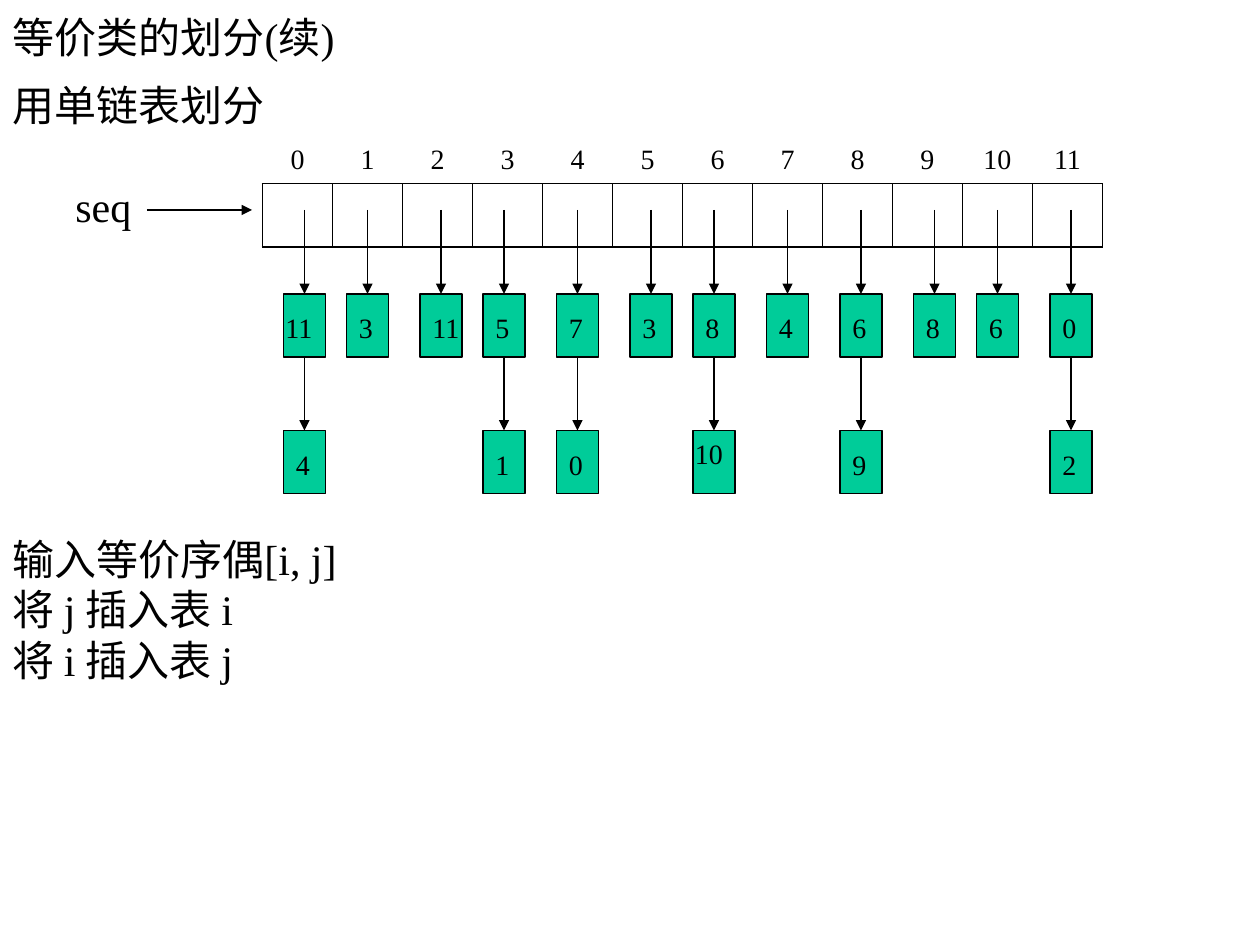
from dataclasses import dataclass

import lxml.etree
import pptx
import pptx.dml.color
import pptx.enum.shapes
import pptx.enum.text
import pptx.oxml.ns
import pptx.util

PX = 9525  # EMU in one px, 96 px to the inch
BLACK = pptx.dml.color.RGBColor(0x00, 0x00, 0x00)
GREEN = pptx.dml.color.RGBColor(0x00, 0xCC, 0x99)
FONT = "Times New Roman"
BODY_FORMAT = {"name": FONT, "size": pptx.util.Pt(24), "bold": False}
LABEL_FORMAT = {"name": FONT, "size": pptx.util.Pt(16), "bold": False}

NODE_W, NODE_H = 32, 48
LEVEL_TOPS = (224, 328)
SEQ_Y = 160
THIN, THICK = 0.45, 1.08  # table borders in points
LINE_PT = 28.8  # line pitch of the body text


@dataclass
class Label:
    text: str
    dx: int = 0
    dy: int = 8


@dataclass
class Chain:
    """The linked list hanging from one slot of seq."""
    x: int
    labels: tuple[Label, ...]


@dataclass
class Line:
    text: str
    indent: int = 0
    blank_lines: int = 0


CHAINS = (
    Chain(216, (Label("11", dx=-8), Label("4"))),
    Chain(264, (Label("3"),)),
    Chain(320, (Label("11"),)),
    Chain(368, (Label("5"), Label("1"))),
    Chain(424, (Label("7"), Label("0"))),
    Chain(480, (Label("3"),)),
    Chain(528, (Label("8"), Label("10", dx=-8, dy=0))),
    Chain(584, (Label("4"),)),
    Chain(640, (Label("6"), Label("9"))),
    Chain(696, (Label("8"),)),
    Chain(744, (Label("6"),)),
    Chain(800, (Label("0"), Label("2"))),
)
BODY = (
    Line("用单链表划分"),
    Line("seq", indent=48, blank_lines=1),
    Line("输入等价序偶[i, j]", blank_lines=6),
    Line("将 j 插入表 i"),
    Line("将 i 插入表 j"),
)


def px(*lengths: int) -> list[int]:
    return [n * PX for n in lengths]


def add_xml(parent, tag: str, **attrs: str):
    return lxml.etree.SubElement(parent, pptx.oxml.ns.qn(tag), attrs)


def write(p, text: str, fmt: dict) -> None:
    r = p.add_run()
    r.text = text
    for name, value in fmt.items():
        setattr(r.font, name, value)
    r.font.color.rgb = BLACK


def text_box(slide, x: int, y: int, w: int, h: int):
    tf = slide.shapes.add_textbox(*px(x, y, w, h)).text_frame
    tf.word_wrap = True
    return tf


def add_title(slide, text: str) -> None:
    sp = slide.shapes.title
    sp.left, sp.top, sp.width, sp.height = px(0, 0, 816, 56)
    tf = sp.text_frame
    tf.vertical_anchor = pptx.enum.text.MSO_ANCHOR.MIDDLE
    p = tf.paragraphs[0]
    p.alignment = pptx.enum.text.PP_ALIGN.LEFT
    write(p, text, BODY_FORMAT)


def add_body(slide) -> None:
    tf = text_box(slide, 0, 56, 936, 632)
    for i, line in enumerate(BODY):
        p = tf.add_paragraph() if i else tf.paragraphs[0]
        p.line_spacing = pptx.util.Pt(LINE_PT)
        p.space_before = pptx.util.Pt(line.blank_lines * LINE_PT)
        p._p.get_or_add_pPr().set("marL", str(line.indent * PX))
        write(p, line.text, BODY_FORMAT)


def set_borders(cell, **widths: float) -> None:
    """Draw the edges L, R, T and B; a width of 0 hides the edge."""
    tc_pr = cell._tc.get_or_add_tcPr()
    for edge in "LRTB":
        width = widths.get(edge, 0)
        ln = add_xml(tc_pr, f"a:ln{edge}", w=str(int(pptx.util.Pt(width))))
        if width:
            add_xml(add_xml(ln, "a:solidFill"), "a:srgbClr", val=str(BLACK))
        else:
            add_xml(ln, "a:noFill")
    cell.fill.background()


def add_seq_table(slide) -> None:
    count = len(CHAINS)
    table = slide.shapes.add_table(2, count, *px(200, 104, 640, 72)).table
    table.first_row = table.horz_banding = False
    for i in range(count):
        table.columns[i].width = 640 * PX // count
        index, slot = table.cell(0, i), table.cell(1, i)

        # Index above the slot
        index.vertical_anchor = pptx.enum.text.MSO_ANCHOR.MIDDLE
        p = index.text_frame.paragraphs[0]
        p.alignment = pptx.enum.text.PP_ALIGN.CENTER
        write(p, str(i), LABEL_FORMAT)
        set_borders(index, B=THIN)

        # Empty slot, as high as a line of body text
        end = slot.text_frame.paragraphs[0]._p.get_or_add_endParaRPr()
        end.set("sz", "2400")
        add_xml(end, "a:latin", typeface=FONT)
        set_borders(slot, L=THIN if i else THICK, T=THIN, B=THICK,
                    R=THIN if i < count - 1 else THICK)


def add_arrow(slide, x1: int, y1: int, x2: int, y2: int) -> None:
    line = slide.shapes.add_connector(
        pptx.enum.shapes.MSO_CONNECTOR.STRAIGHT, *px(x1, y1, x2, y2))
    line.line.color.rgb = BLACK
    line.line.width = pptx.util.Pt(0.75)
    add_xml(line.line._get_or_add_ln(), "a:tailEnd", type="triangle")
    add_xml(line._element.spPr, "a:effectLst")


def add_node(slide, x: int, y: int, label: Label) -> None:
    sp = slide.shapes.add_shape(
        pptx.enum.shapes.MSO_SHAPE.RECTANGLE, *px(x, y, NODE_W, NODE_H))
    sp.shadow.inherit = False
    sp.fill.solid()
    sp.fill.fore_color.rgb = GREEN
    sp.line.color.rgb = BLACK
    sp.line.width = pptx.util.Pt(0.75)
    tf = text_box(slide, x + label.dx, y + label.dy, 48, 36)
    write(tf.paragraphs[0], label.text, LABEL_FORMAT)


def add_chain(slide, chain: Chain) -> None:
    center, start = chain.x + NODE_W // 2, SEQ_Y
    for top, label in zip(LEVEL_TOPS, chain.labels):
        add_node(slide, chain.x, top, label)
        add_arrow(slide, center, start, center, top)
        start = top + NODE_H


def main() -> None:
    prs = pptx.Presentation()
    prs.slide_width, prs.slide_height = px(960, 720)
    slide = prs.slides.add_slide(prs.slide_layouts.get_by_name("Title Only"))

    # Text
    add_title(slide, "等价类的划分(续)")
    add_body(slide)

    # The seq array and its linked lists
    add_seq_table(slide)
    add_arrow(slide, 112, SEQ_Y, 192, SEQ_Y)
    for chain in CHAINS:
        add_chain(slide, chain)

    prs.save("out.pptx")


if __name__ == "__main__":
    main()
